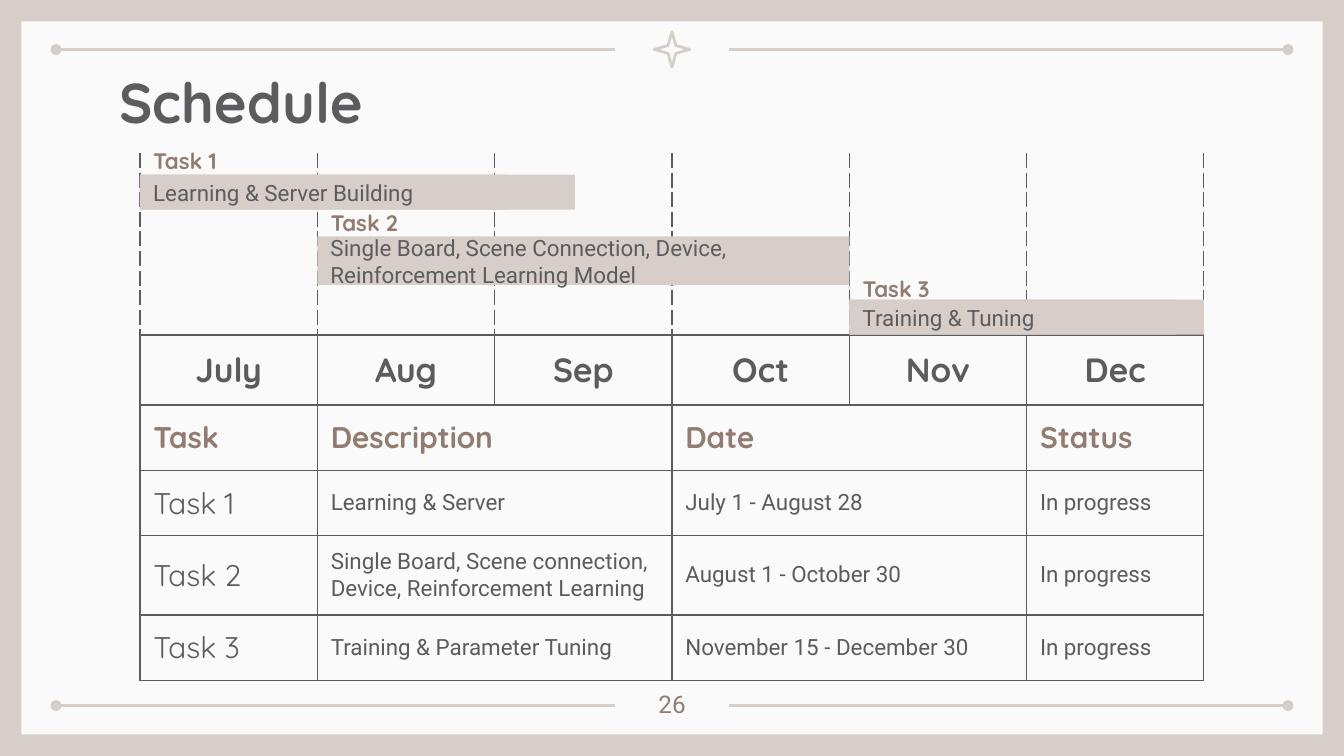
from lxml import etree
from pptx import Presentation
from pptx.dml.color import RGBColor
from pptx.enum.shapes import MSO_CONNECTOR, MSO_SHAPE
from pptx.enum.text import MSO_ANCHOR, PP_ALIGN
from pptx.oxml.ns import qn
from pptx.util import Pt

STRAIGHT = MSO_CONNECTOR.STRAIGHT
RECTANGLE = MSO_SHAPE.RECTANGLE
ROUNDED = MSO_SHAPE.ROUNDED_RECTANGLE
STAR = MSO_SHAPE.STAR_4_POINT
TOP, MIDDLE = MSO_ANCHOR.TOP, MSO_ANCHOR.MIDDLE
LEFT, CENTER = PP_ALIGN.LEFT, PP_ALIGN.CENTER

COLORS = {"sand": "D8CEC9", "paper": "FAFAFA", "ink": "5C5C5F", "brown": "927C71"}
HEADING, BODY = "Quicksand", "Roboto"
INSET = 7.2

GRID_LEFT, GRID_TOP, MONTH_WIDTH = 75, 82, 95
TIMELINE_ROWS = 3
ROW_HEIGHTS = [32.5] * TIMELINE_ROWS + [37.5, 35, 35, 42.5, 35]
MONTHS = ["July", "Aug", "Sep", "Oct", "Nov", "Dec"]
HEADERS = ["Task", "Description", "Date", "Status"]
TASKS = [
    ["Task 1", "Learning & Server", "July 1 - August 28", "In progress"],
    ["Task 2", "Single Board, Scene connection, Device, Reinforcement Learning",
     "August 1 - October 30", "In progress"],
    ["Task 3", "Training & Parameter Tuning", "November 15 - December 30", "In progress"],
]
FIELD_COLUMNS = [0, 1, 3, 5]
BARS = [
    ("Task 1", "Learning & Server Building", 0, 78.5, 93.6, 18.7, [233, 196]),
    ("Task 2", "Single Board, Scene Connection, Device, Reinforcement Learning Model",
     1, 111.6, 126.7, 25.9, [285]),
    ("Task 3", "Training & Tuning", 4, 146.9, 160.6, 18.7, [190, 175]),
]


def rgb(name):
    return RGBColor.from_string(COLORS[name])


def write_text(frame, text, size=12, font=BODY, color="ink", bold=False, align=LEFT):
    para = frame.paragraphs[0]
    para.alignment = align
    span = para.add_run()
    span.text = text
    span.font.size = Pt(size)
    span.font.name = font
    span.font.bold = bold
    span.font.color.rgb = rgb(color)


class SlidePainter:
    def __init__(self, page):
        self.page = page
        background = page.background.fill
        background.solid()
        background.fore_color.rgb = rgb("sand")

    def prepare_frame(self, frame, anchor):
        frame.word_wrap = True
        frame.vertical_anchor = anchor
        frame.margin_left = frame.margin_right = Pt(INSET)
        frame.margin_top = frame.margin_bottom = Pt(INSET)

    def shape(self, kind, left, top, width, height, fill=None, line=None,
              adjust=None, text=None, **style):
        box = self.page.shapes.add_shape(kind, Pt(left), Pt(top), Pt(width), Pt(height))
        box.shadow.inherit = False
        if adjust is not None:
            box.adjustments[0] = adjust
        if fill:
            box.fill.solid()
            box.fill.fore_color.rgb = rgb(fill)
        else:
            box.fill.background()
        if line:
            box.line.color.rgb = rgb(line)
            box.line.width = Pt(1.5)
        else:
            box.line.fill.background()
        if text:
            self.prepare_frame(box.text_frame, MIDDLE)
            write_text(box.text_frame, text, **style)

    def text(self, text, left, top, width, height, **style):
        box = self.page.shapes.add_textbox(Pt(left), Pt(top), Pt(width), Pt(height))
        self.prepare_frame(box.text_frame, TOP)
        write_text(box.text_frame, text, **style)

    def rule(self, start, end, y, dot):
        rule = self.page.shapes.add_connector(STRAIGHT, Pt(start), Pt(y), Pt(end), Pt(y))
        rule.line.color.rgb = rgb("sand")
        rule.line.width = Pt(1.5)
        etree.SubElement(rule.line._get_or_add_ln(), qn(f"a:{dot}"), type="oval")
        etree.SubElement(rule._element.spPr, qn("a:effectLst"))

    def table(self, left, top, column_widths, row_heights):
        frame = self.page.shapes.add_table(
            len(row_heights), len(column_widths), Pt(left), Pt(top),
            Pt(sum(column_widths)), Pt(sum(row_heights)))
        grid = frame.table
        grid.first_row = grid.horz_banding = False
        for column, width in zip(grid.columns, column_widths):
            column.width = Pt(width)
        for row, height in zip(grid.rows, row_heights):
            row.height = Pt(height)
        return grid

    def cell(self, cell, edges, text=None, **style):
        properties = cell._tc.get_or_add_tcPr()
        for side, dash in zip("LRTB", edges):
            border = etree.SubElement(properties, qn(f"a:ln{side}"), w=str(Pt(0.75)))
            if dash:
                fill = etree.SubElement(border, qn("a:solidFill"))
                etree.SubElement(fill, qn("a:srgbClr"), val=COLORS["ink"])
                etree.SubElement(border, qn("a:prstDash"), val=dash)
            else:
                etree.SubElement(border, qn("a:noFill"))
        cell.fill.background()
        if text:
            cell.vertical_anchor = MIDDLE
            cell.margin_left = cell.margin_right = Pt(INSET)
            cell.margin_top = cell.margin_bottom = Pt(INSET)
            write_text(cell.text_frame, text, **style)


def draw_frame(painter):
    painter.shape(RECTANGLE, 11.5, 11.5, 697, 382, fill="paper")
    painter.shape(STAR, 350.5, 17, 19, 19, line="sand", adjust=0.157)
    for y in (26.6, 378):
        painter.rule(30, 329.5, y, "headEnd")
        painter.rule(390.5, 690, y, "tailEnd")


def draw_table(painter):
    grid = painter.table(GRID_LEFT, GRID_TOP, [MONTH_WIDTH] * len(MONTHS), ROW_HEIGHTS)
    for row in range(TIMELINE_ROWS):
        bottom = "solid" if row == TIMELINE_ROWS - 1 else None
        for column in range(len(MONTHS)):
            painter.cell(grid.cell(row, column), ["dash", "dash", None, bottom])
    solid = ["solid"] * 4
    for column, month in enumerate(MONTHS):
        painter.cell(grid.cell(TIMELINE_ROWS, column), solid, month,
                     size=18, font=HEADING, bold=True, align=CENTER)
    for row, fields in enumerate([HEADERS] + TASKS, TIMELINE_ROWS + 1):
        for column in (1, 3):
            grid.cell(row, column).merge(grid.cell(row, column + 1))
        for column, field in zip(FIELD_COLUMNS, fields):
            if fields is HEADERS:
                style = {"size": 16, "font": HEADING, "color": "brown", "bold": True}
            elif column == 0:
                style = {"size": 16, "font": HEADING}
            else:
                style = {}
            painter.cell(grid.cell(row, column), solid, field, **style)


def draw_bars(painter):
    for name, description, month, label_top, bar_top, height, widths in BARS:
        left = GRID_LEFT + month * MONTH_WIDTH
        for width in widths:
            text = description if width == widths[-1] else None
            painter.shape(ROUNDED, left, bar_top, width, height,
                          fill="sand", adjust=0, text=text)
        painter.shape(ROUNDED, left, label_top, 57, 15, adjust=0, text=name,
                      font=HEADING, color="brown", bold=True)


def main():
    deck = Presentation()
    deck.slide_width, deck.slide_height = Pt(720), Pt(405)
    painter = SlidePainter(deck.slides.add_slide(deck.slide_layouts[6]))
    draw_frame(painter)
    draw_table(painter)
    painter.text("Schedule", 57, 29, 607, 45, size=30, font=HEADING, bold=True)
    draw_bars(painter)
    painter.text("26", 338.5, 362, 43, 26, size=13, color="brown", align=CENTER)
    deck.save("out.pptx")


if __name__ == "__main__":
    main()
